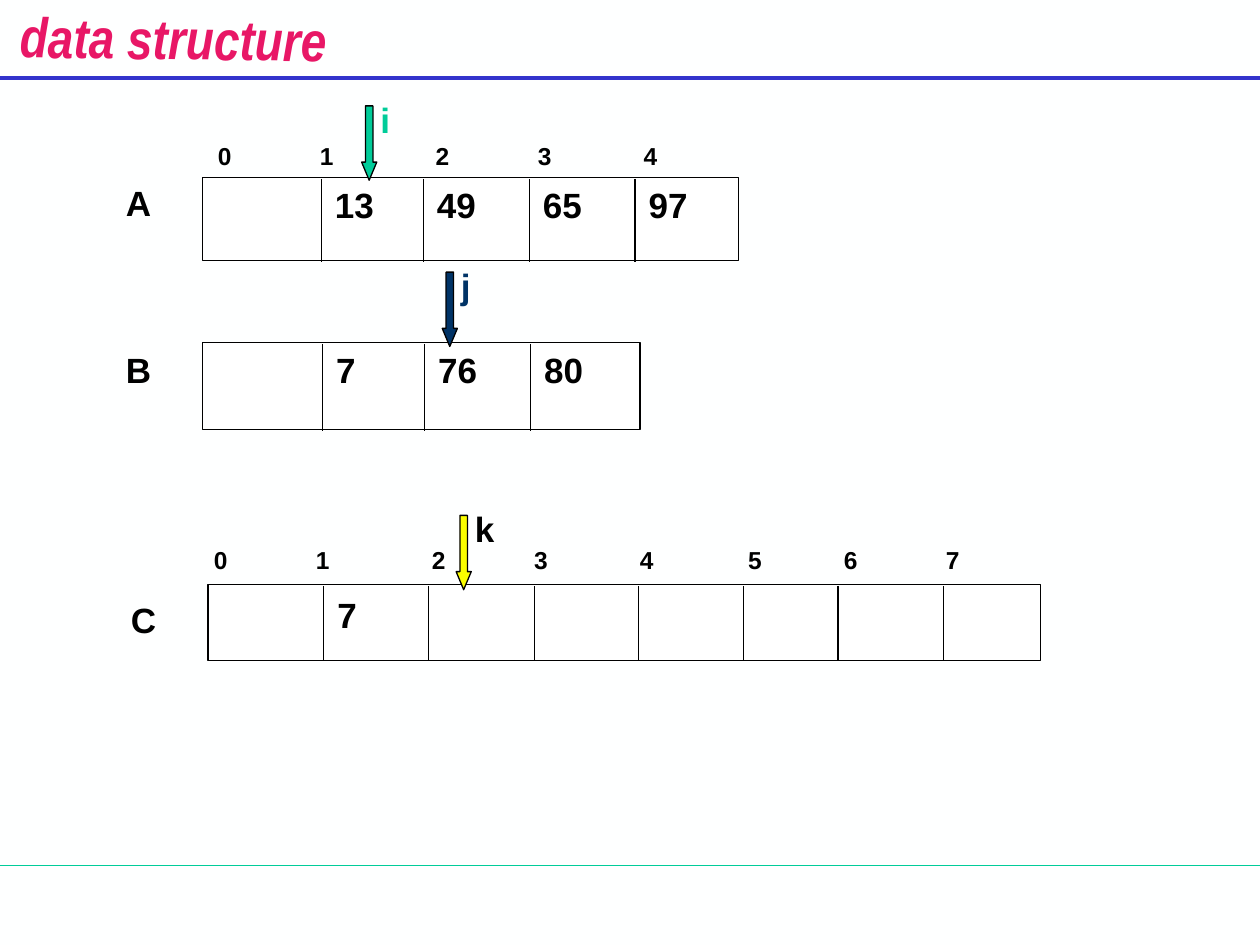
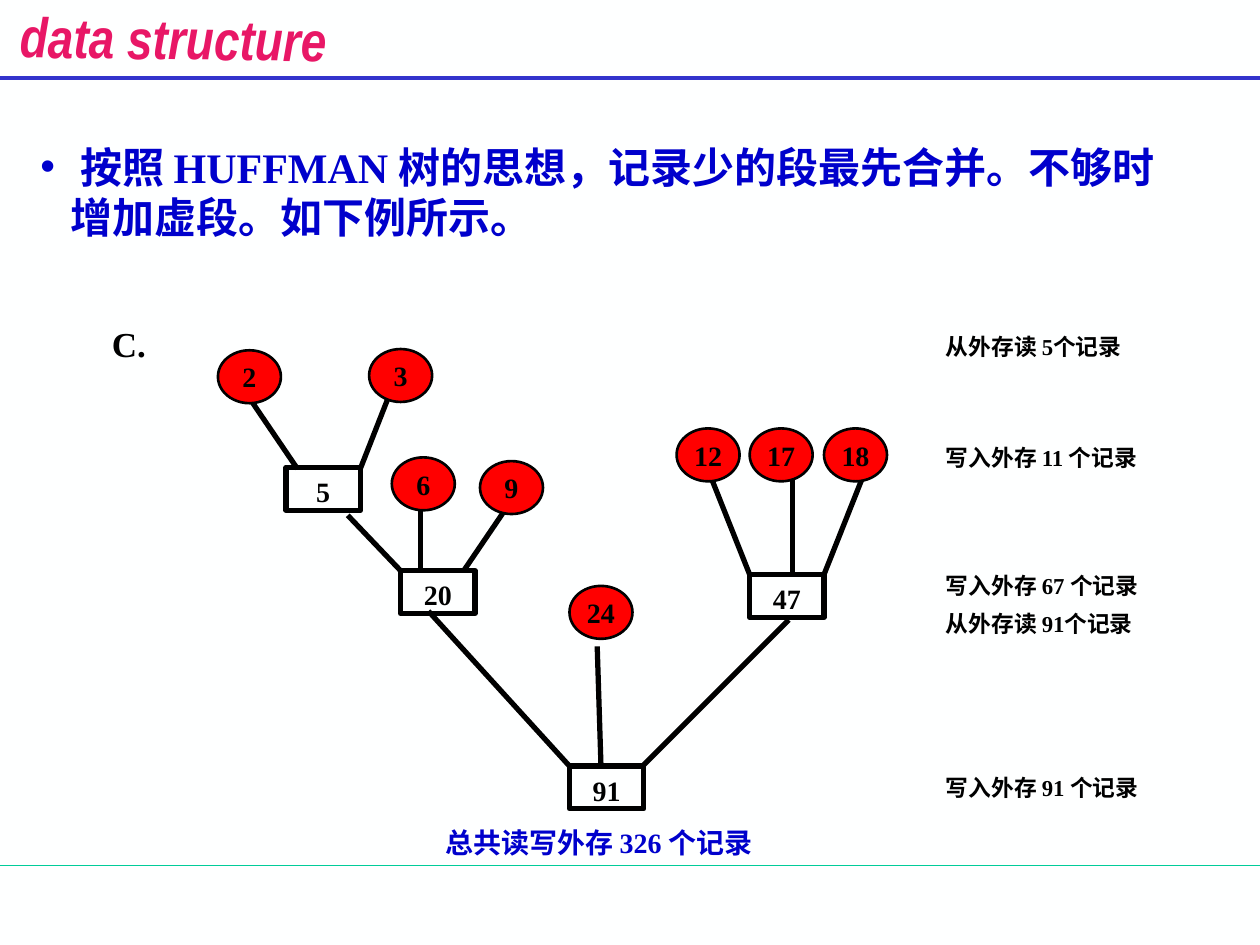
from lxml import etree
from pptx import Presentation
from pptx.dml.color import RGBColor
from pptx.enum import shapes, text
from pptx.oxml.ns import qn
from pptx.util import Inches, Pt

PAPER = RGBColor(0xFE, 0xFF, 0xFF)
WHITE = RGBColor(0xFF, 0xFF, 0xFF)
BLACK = RGBColor(0, 0, 0)
PINK = RGBColor(0xE8, 0x17, 0x66)
RULE_BLUE = RGBColor(0x33, 0x33, 0xCC)
GREEN = RGBColor(0, 0xCC, 0x99)
NAVY = RGBColor(0, 0x33, 0x66)
YELLOW = RGBColor(0xFA, 0xFD, 0)
RED = RGBColor(0xFF, 0, 0)
TEXT_BLUE = RGBColor(0, 0, 0xCC)

SANS, NARROW, SERIF = "Arial", "Arial Narrow", "Times New Roman"
TITLE_ONLY, TITLE_AND_BODY = 5, 1
INDEX_STOPS = (0.81, 1.73, 2.54, 3.38, 4.24, 5.0, 5.81)
NODE_W, NODE_H = 0.59, 0.34
LEAF_W, LEAF_H = 0.5, 0.42


def place(item, left, top, width, height):
    item.left, item.top = Inches(left), Inches(top)
    item.width, item.height = Inches(width), Inches(height)


def add_span(para, words, size, font=SANS, color=BLACK):
    span = para.add_run()
    span.text = words
    span.font.name, span.font.size = font, Pt(size)
    span.font.bold = True
    span.font.color.rgb = color
    return span


def add_label(page, words, left, top, width, height, size, font=SANS, color=BLACK):
    box = page.shapes.add_textbox(*map(Inches, (left, top, width, height)))
    box.text_frame.word_wrap = True
    para = box.text_frame.paragraphs[0]
    add_span(para, words, size, font, color)
    return para


def add_line(page, start, end, width=0.75, color=BLACK):
    line = page.shapes.add_connector(
        shapes.MSO_CONNECTOR.STRAIGHT, *map(Inches, (*start, *end)))
    line.line.width = Pt(width)
    line.line.color.rgb = color
    etree.SubElement(line._element.spPr, qn("a:effectLst"))


def add_outline(page, kind, left, top, width, height, fill, weight):
    shape = page.shapes.add_shape(kind, *map(Inches, (left, top, width, height)))
    shape.shadow.inherit = False
    if fill is None:
        shape.fill.background()
    else:
        shape.fill.solid()
        shape.fill.fore_color.rgb = fill
    shape.line.color.rgb = BLACK
    shape.line.width = Pt(weight)
    return shape


def add_page(deck, layout):
    """Background, two rules and the slanted title shared by all slides."""
    page = deck.slides.add_slide(deck.slide_layouts[layout])
    page.background.fill.solid()
    page.background.fill.fore_color.rgb = PAPER
    add_line(page, (0, 6.87), (10, 6.87), 0.75, GREEN)
    add_line(page, (0, 0.62), (10, 0.62), 2.25, RULE_BLUE)
    title = page.shapes.title
    place(title, 0.03, 0.03, 2.69, 0.54)
    title.rotation = 0.8
    frame = title.text_frame
    frame.margin_left = frame.margin_right = frame.margin_top = frame.margin_bottom = 0
    frame.word_wrap = False
    frame.auto_size = text.MSO_AUTO_SIZE.NONE
    frame.vertical_anchor = text.MSO_ANCHOR.TOP
    para = frame.paragraphs[0]
    para.alignment = text.PP_ALIGN.CENTER
    add_span(para, "data structure", 32, NARROW, PINK).font.italic = True
    return page


# Arrays with pointers
def add_indexes(page, left, top, width, count):
    para = add_label(page, "\t".join(map(str, range(count))), left, top, width, 0.33, 14)
    tabs = etree.SubElement(para._p.get_or_add_pPr(), qn("a:tabLst"))
    for stop in INDEX_STOPS[:count - 1]:
        etree.SubElement(tabs, qn("a:tab"), pos=str(Inches(stop)), algn="l")


def add_array(page, name, box, dividers, values, name_drop, value_drop=0):
    left, top, width, height = box
    add_outline(page, shapes.MSO_SHAPE.RECTANGLE, *box, WHITE, 0.75)
    for offset in dividers:
        add_line(page, (left + offset, top + 0.01), (left + offset, top + height + 0.01))
    for offset, value in zip(dividers, values):
        add_label(page, value, left + offset + 0.01, top + value_drop, 0.67, 0.43, 20)
    add_label(page, name, left - 0.71, top + name_drop, 0.67, 0.43, 20)


def add_pointer(page, name, left, top, fill, color):
    arrow = add_outline(page, shapes.MSO_SHAPE.DOWN_ARROW, left, top, 0.12, 0.59, fill, 0.75)
    arrow.adjustments[0], arrow.adjustments[1] = 0.5, 1.194
    add_label(page, name, left + 0.05, top - 0.11, 0.53, 0.43, 20, color=color)


def add_merge_slide(deck):
    page = add_page(deck, TITLE_ONLY)
    add_indexes(page, 1.63, 1.07, 4.25, 5)
    add_array(page, "A", (1.61, 1.41, 4.25, 0.66), (0.94, 1.75, 2.59, 3.43),
              ("13", "49", "65", "97"), -0.02)
    add_array(page, "B", (1.61, 2.72, 3.47, 0.69), (0.95, 1.76, 2.6),
              ("7", "76", "80"), 0)
    add_array(page, "C", (1.65, 4.64, 6.61, 0.6),
              (0.92, 1.75, 2.59, 3.42, 4.25, 5.0, 5.84), ("7",), 0.06, 0.02)
    add_indexes(page, 1.6, 4.28, 6.66, 8)
    add_pointer(page, "i", 2.87, 0.84, GREEN, GREEN)
    add_pointer(page, "j", 3.51, 2.16, NAVY, NAVY)
    add_pointer(page, "k", 3.62, 4.09, YELLOW, BLACK)


# Huffman merge tree
def add_rule_text(page, left, top, width, height):
    body = page.placeholders[1]
    place(body, left, top, width, height)
    body.text_frame.auto_size = text.MSO_AUTO_SIZE.NONE
    para = body.text_frame.paragraphs[0]
    props = para._p.get_or_add_pPr()
    props.set("marL", str(Inches(0.24)))
    props.set("indent", str(-Inches(0.24)))
    etree.SubElement(props, qn("a:buChar"), char="•")
    para.space_before = Pt(0)
    add_span(para, " 按照 HUFFMAN 树的思想，记录少的段最先合并。不够时增加虚段。如下例所示。",
             24, SERIF, TEXT_BLUE)


def add_tree_item(page, kind, number, box, fill, weight, drop=0):
    shape = add_outline(page, kind, *box, fill, weight)
    frame = shape.text_frame
    frame.word_wrap = False
    frame.vertical_anchor = text.MSO_ANCHOR.MIDDLE
    frame.margin_top, frame.margin_bottom = Inches(drop), 0
    frame.paragraphs[0].alignment = text.PP_ALIGN.CENTER
    add_span(frame.paragraphs[0], str(number), 16, SERIF)


def add_tree(page, left, top):
    branches = (
        ((0.27, 0.42), (0.63, 0.95)), ((1.46, 0.11), (1.13, 0.95)),
        ((1.03, 1.32), (1.45, 1.76)), ((1.61, 0.93), (1.61, 1.76)),
        ((2.29, 1.26), (1.95, 1.76)), ((3.89, 0.96), (4.22, 1.79)),
        ((4.56, 0.96), (4.56, 1.79)), ((5.14, 0.96), (4.81, 1.79)),
        ((1.67, 2.08), (2.79, 3.31)), ((3.01, 2.36), (3.04, 3.31)),
        ((4.53, 2.15), (3.37, 3.31)),
    )
    leaves = {2: (0, 0.01), 3: (1.2, 0), 6: (1.38, 0.86), 9: (2.08, 0.89),
              12: (3.64, 0.63), 17: (4.22, 0.63), 18: (4.81, 0.63), 24: (2.79, 1.88)}
    nodes = {5: (0.54, 0.94), 20: (1.45, 1.76), 47: (4.22, 1.79), 91: (2.79, 3.31)}
    for start, end in branches:
        add_line(page, *((left + x, top + y) for x, y in (start, end)), 3)
    for number, (x, y) in leaves.items():
        add_tree_item(page, shapes.MSO_SHAPE.OVAL, number,
                      (left + x, top + y, LEAF_W, LEAF_H), RED, 1.5)
    for number, (x, y) in nodes.items():
        add_tree_item(page, shapes.MSO_SHAPE.RECTANGLE, number,
                      (left + x, top + y, NODE_W, NODE_H), None, 3, 0.04)


def add_huffman_slide(deck):
    page = add_page(deck, TITLE_AND_BODY)
    add_rule_text(page, 0.22, 1.07, 9.33, 0.9)
    add_label(page, "C.", 0.79, 2.51, 0.85, 0.43, 20, SERIF)
    add_tree(page, 1.73, 2.77)
    add_label(page, "总共读写外存 326 个记录", 3.44, 6.5, 2.83, 0.37, 16, SERIF, TEXT_BLUE)
    transfers = (
        (2.59, "从外存读 5个记录"), (3.47, "写入外存 11 个记录"),
        (4.49, "写入外存 67 个记录"), (4.79, "从外存读 91个记录"),
        (6.09, "写入外存 91 个记录"),
    )
    for top, words in transfers:
        add_label(page, words, 7.41, top, 2, 0.32, 13, SERIF)


def main():
    deck = Presentation()
    deck.slide_width, deck.slide_height = Inches(10), Inches(7.5)
    add_merge_slide(deck)
    add_huffman_slide(deck)
    deck.save("out.pptx")


if __name__ == "__main__":
    main()
